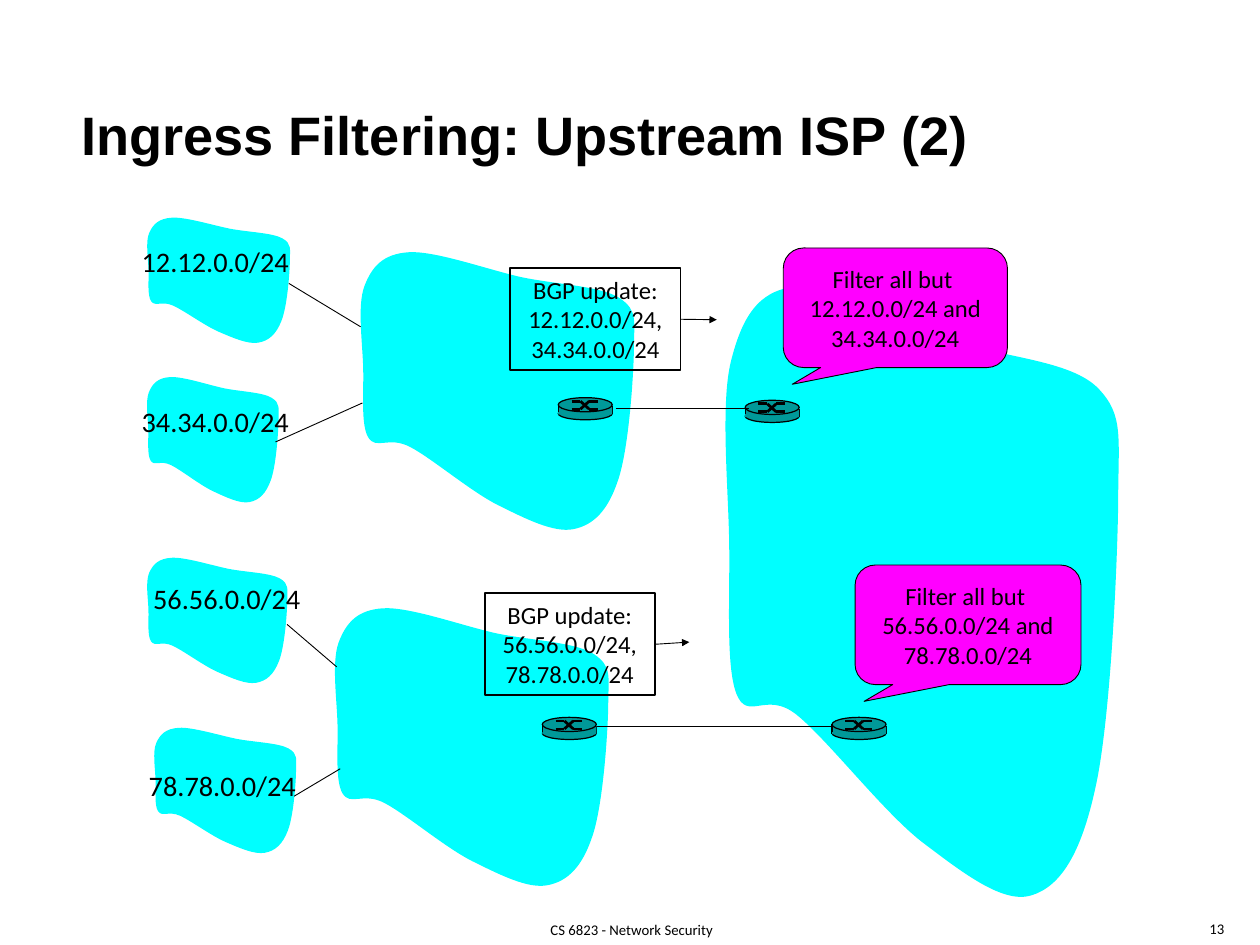
from lxml.etree import SubElement
from pptx import Presentation
from pptx.dml.color import RGBColor
from pptx.enum.shapes import MSO_CONNECTOR, MSO_SHAPE
from pptx.enum.text import MSO_ANCHOR, MSO_AUTO_SIZE, PP_ALIGN
from pptx.oxml.ns import qn
from pptx.util import Inches, Pt

BLACK = RGBColor(0x00, 0x00, 0x00)
CYAN = RGBColor(0x00, 0xFF, 0xFF)
TEAL = RGBColor(0x00, 0x99, 0x99)
MAGENTA = RGBColor(0xFF, 0x00, 0xFF)

# Cloud outline inside CLOUD_BOX: a start point, then three points per Bezier curve
CLOUD_BOX = (8.13, 3.2, 4.57, 7.01)
CLOUD_START = (8.97, 3.24)
CLOUD_CURVES = [
    (8.55, 3.28), (8.37, 3.6), (8.25, 4.08),
    (8.13, 4.56), (8.22, 5.5), (8.23, 6.12),
    (8.24, 6.75), (8.19, 7.51), (8.31, 7.83),
    (8.44, 8.16), (8.64, 7.79), (8.99, 8.07),
    (9.34, 8.35), (9.97, 9.17), (10.41, 9.51),
    (10.86, 9.85), (11.32, 10.21), (11.64, 10.11),
    (11.97, 10.01), (12.2, 9.64), (12.36, 8.91),
    (12.53, 8.17), (12.61, 6.44), (12.62, 5.69),
    (12.62, 4.93), (12.69, 4.69), (12.39, 4.38),
    (12.08, 4.07), (11.34, 4.04), (10.77, 3.85),
    (10.21, 3.65), (9.39, 3.2), CLOUD_START,
]

CLOUDS = [(4.03, 2.83, 3.18, 3.19), (3.74, 6.85, 3.18, 3.19), CLOUD_BOX,
          (1.64, 2.45, 1.66, 1.44), (1.64, 4.25, 1.53, 1.44),
          (1.64, 6.29, 1.63, 1.44), (1.72, 8.21, 1.65, 1.44)]
LINKS = [((3.26, 3.2), (4.07, 3.69)), ((3.11, 4.99), (4.09, 4.55)),
         ((3.24, 7.05), (3.8, 7.53)), ((3.32, 8.99), (3.84, 8.68)),
         ((6.7, 8.2), (9.43, 8.2))]
NETWORKS = [("12.12.0.0/24", 1.39, 2.69), ("34.34.0.0/24", 1.39, 4.49),
            ("56.56.0.0/24", 1.52, 6.49), ("78.78.0.0/24", 1.47, 8.6)]
ROUTERS = [(6.3, 4.49), (8.41, 4.52), (6.12, 8.1), (9.39, 8.1)]
# networks announced, box corner, arrow tip
UPDATES = [("12.12.0.0/24", "34.34.0.0/24", (5.76, 3.03), (8.09, 3.61)),
           ("56.56.0.0/24", "78.78.0.0/24", (5.47, 6.7), (7.78, 7.25))]
# networks allowed, callout place
FILTERS = [("12.12.0.0/24", "34.34.0.0/24", (8.84, 2.8, 2.53, 1.35)),
           ("56.56.0.0/24", "78.78.0.0/24", (9.65, 6.38, 2.55, 1.35))]


def write(tf, text, size=20, font="Calibri", bold=False, align=PP_ALIGN.CENTER,
          anchor=MSO_ANCHOR.TOP, margins=(0.14, 0.07), wrap=False, grow=False):
    """Fill a text frame, one paragraph per line of text."""
    tf.word_wrap = wrap
    tf.auto_size = MSO_AUTO_SIZE.SHAPE_TO_FIT_TEXT if grow else MSO_AUTO_SIZE.NONE
    tf.vertical_anchor = anchor
    tf.margin_left = tf.margin_right = Inches(margins[0])
    tf.margin_top = tf.margin_bottom = Inches(margins[1])
    for i, line in enumerate(text.split("\n")):
        p = tf.add_paragraph() if i else tf.paragraphs[0]
        p.alignment = align
        r = p.add_run()
        r.text = line
        r.font.name, r.font.size, r.font.bold = font, Pt(size), bold
        r.font.color.rgb = BLACK


def curve_segments(sp):
    """Turn each three line segments of a freeform into one Bezier curve."""
    segments = list(sp._element.iter(qn("a:lnTo")))
    for first, second, third in zip(*[iter(segments)] * 3):
        first.tag = qn("a:cubicBezTo")
        for extra in (second, third):
            first.append(extra[0])
            extra.getparent().remove(extra)


class Diagram:
    def __init__(self, slide):
        self.slide = slide
        self.shapes = slide.shapes

    def title(self, text, box):
        sp = self.shapes.title
        sp.left, sp.top, sp.width, sp.height = map(Inches, box)
        write(sp.text_frame, text, size=44, font="Arial", bold=True,
              align=PP_ALIGN.LEFT, margins=(0.14, 0.14), wrap=True)

    def paint(self, sp, fill, line):
        sp.shadow.inherit = False
        sp.fill.solid()
        sp.fill.fore_color.rgb = fill
        if line:
            sp.line.color.rgb, sp.line.width = BLACK, Pt(line)
        else:
            sp.line.fill.background()
        return sp

    def shape(self, kind, box, fill, line=None):
        return self.paint(self.shapes.add_shape(kind, *map(Inches, box)), fill, line)

    def label(self, text, box, line=None, **fmt):
        sp = self.shapes.add_textbox(*map(Inches, box))
        if line:
            sp.line.color.rgb, sp.line.width = BLACK, Pt(line)
        write(sp.text_frame, text, **fmt)
        return sp

    def line(self, start, end, width=0.75, arrow=False, source=None):
        """Draw a straight line; source is a box whose right side it leaves from."""
        cx = self.shapes.add_connector(MSO_CONNECTOR.STRAIGHT, *map(Inches, start + end))
        if source is not None:
            cx.begin_connect(source, 3)
        cx.line.color.rgb, cx.line.width = BLACK, Pt(width)
        if arrow:
            SubElement(cx.line._get_or_add_ln(), qn("a:tailEnd"), type="triangle")
        SubElement(cx._element.spPr, qn("a:effectLst"))

    def cloud(self, left, top, width, height):
        x0, y0, w0, h0 = CLOUD_BOX

        def place(point):
            return (Inches(left + (point[0] - x0) * width / w0),
                    Inches(top + (point[1] - y0) * height / h0))

        fb = self.shapes.build_freeform(*place(CLOUD_START))
        fb.add_line_segments([place(point) for point in CLOUD_CURVES], close=True)
        sp = self.paint(fb.convert_to_shape(), CYAN, None)
        curve_segments(sp)

    def router(self, x, y):
        self.shapes = self.slide.shapes.add_group_shape().shapes
        self.shape(MSO_SHAPE.OVAL, (x, y + 0.11, 0.61, 0.14), TEAL, 1)
        for side in (x, x + 0.61):
            self.line((side, y + 0.1), (side, y + 0.19), 1)
        self.shape(MSO_SHAPE.RECTANGLE, (x, y + 0.1, 0.61, 0.09), TEAL)
        self.shape(MSO_SHAPE.OVAL, (x, y, 0.61, 0.16), TEAL, 1)
        for y1, y2 in ((y + 0.04, y + 0.13), (y + 0.13, y + 0.04)):
            bends = [(x + 0.15, y1), (x + 0.25, y1), (x + 0.35, y2), (x + 0.45, y2)]
            for start, end in zip(bends, bends[1:]):
                self.line(start, end, 2.25)
        self.line((x, y + 0.07), (x, y + 0.16), 1)
        self.shapes = self.slide.shapes

    def callout(self, text, box):
        sp = self.shape(MSO_SHAPE.ROUNDED_RECTANGULAR_CALLOUT, box, MAGENTA, 0.75)
        for i, value in enumerate((-0.46, 0.64, 0.17)):
            sp.adjustments[i] = value
        write(sp.text_frame, text, wrap=True, anchor=MSO_ANCHOR.MIDDLE)


def main():
    prs = Presentation()
    prs.slide_width, prs.slide_height = Inches(14.22), Inches(10.67)
    d = Diagram(prs.slides.add_slide(prs.slide_layouts[5]))

    d.label("CS 6823 - Network Security", (6.08, 10.4, 2.1, 0.19), size=12,
            margins=(0, 0), anchor=MSO_ANCHOR.MIDDLE, wrap=True)
    d.label("13", (13.51, 10.31, 0.71, 0.36), size=12, align=PP_ALIGN.LEFT)
    d.title("Ingress Filtering: Upstream ISP (2)", (0.78, 1, 12.57, 1.25))

    for box in CLOUDS:
        d.cloud(*box)
    for start, end in LINKS:
        d.line(start, end)
    for network, x, y in NETWORKS:
        d.label(network, (x, y, 2.08, 0.53), size=23, grow=True)
    for x, y in ROUTERS:
        d.router(x, y)
    d.line((6.95, 4.61), (8.45, 4.61))

    for first, second, (x, y), tip in UPDATES:
        sp = d.label(f"BGP update:\n{first},\n{second}", (x, y, 1.92, 1.15),
                     line=1.5, grow=True)
        d.line((x + 1.92, y + 0.57), tip, arrow=True, source=sp)
    for first, second, box in FILTERS:
        d.callout(f"Filter all but \n{first} and {second}", box)

    prs.save("out.pptx")


if __name__ == "__main__":
    main()
